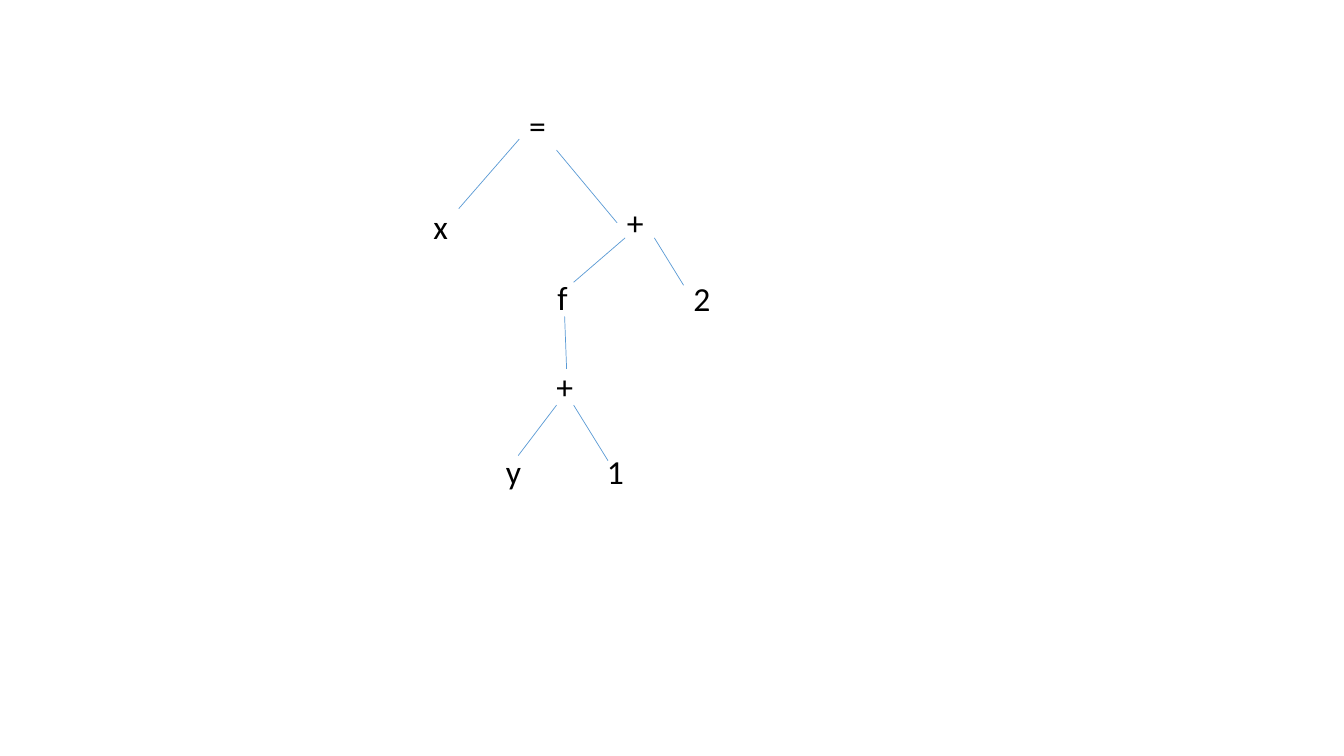
from pptx import Presentation as Deck
from pptx.dml.color import RGBColor as Rgb
from pptx.enum.shapes import MSO_CONNECTOR as Link
from pptx.enum.text import MSO_AUTO_SIZE as Fit
from pptx.oxml.ns import qn
from pptx.util import Inches, Pt
from lxml.etree import SubElement as Sub

HUE = {"ink": "000000", "edge": "5B9BD5"}
CELL = Inches(0.1)
ROW = 5
TAB = 10
TREE = (42, 9.9)
NODES = [
    ("=", 9.5, 0, 3.7),
    ("x", 0, 10, 3.5),
    ("+", 19.2, 9.6, 3.7),
    ("f", 12.3, 17.1, 3.1),
    ("2", 25.8, 17.2, 3.7),
    ("+", 12.2, 25.9, 3.7),
    ("y\t1", 7.2, 34.3, 13.8),
]
EDGES = [
    (9.5, 3.9, 3.5, 10.8),
    (13.2, 5, 19.2, 12.2),
    (20, 13.7, 14.9, 18.1),
    (22.9, 13.7, 25.8, 18.4),
    (14, 21.5, 14.2, 26.7),
    (13.2, 30.3, 9.4, 35.3),
    (14.9, 30.3, 18.3, 35.8),
]


def grid(*cells):
    return [round(cell * CELL) for cell in cells]


def label(slide, text, box, size=24, font="Calibri", hue="ink", tab=TAB):
    frame = slide.shapes.add_textbox(*grid(*box)).text_frame
    frame.word_wrap = False
    frame.auto_size = Fit.SHAPE_TO_FIT_TEXT
    para = frame.paragraphs[0]
    if "\t" in text:
        stops = Sub(para._p.get_or_add_pPr(), qn("a:tabLst"))
        Sub(stops, qn("a:tab"), pos=str(grid(tab)[0]), algn="l")
    run = para.add_run()
    run.text = text
    run.font.size = Pt(size)
    run.font.name = font
    run.font.color.rgb = Rgb.from_string(HUE[hue])


def edge(slide, ends, width=0.5, hue="edge"):
    line = slide.shapes.add_connector(Link.STRAIGHT, *grid(*ends))
    line.line.width = Pt(width)
    line.line.color.rgb = Rgb.from_string(HUE[hue])
    Sub(line._element.spPr, qn("a:effectLst"))


def tree(slide, box):
    left, top = box
    for text, x, y, wide in NODES:
        label(slide, text, (left + x, top + y, wide, ROW))
    for x1, y1, x2, y2 in EDGES:
        edge(slide, (left + x1, top + y1, left + x2, top + y2))


deck = Deck()
deck.slide_width = Inches(13.33)
deck.slide_height = Inches(7.5)
tree(deck.slides.add_slide(deck.slide_layouts[6]), TREE)
deck.save("out.pptx")
